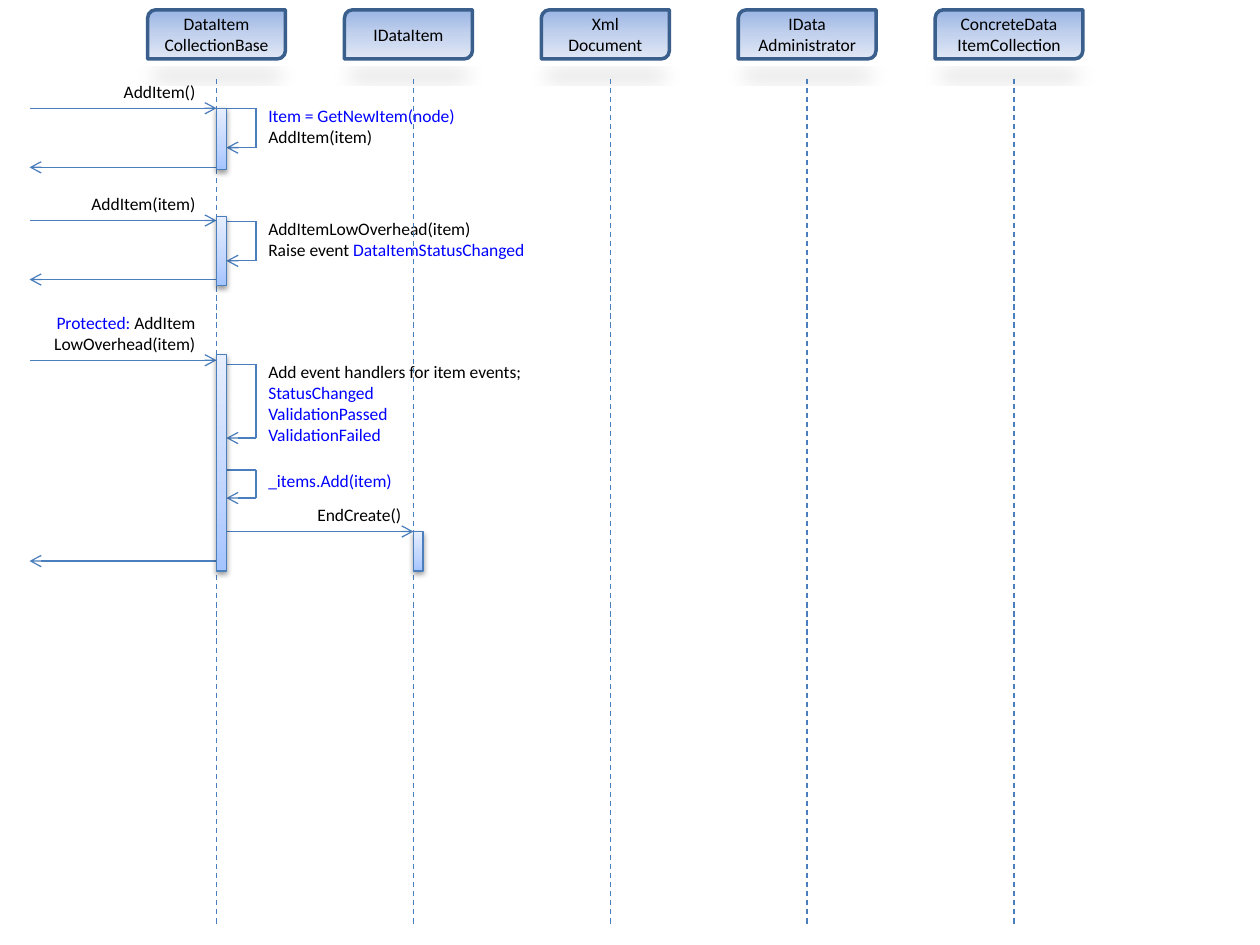
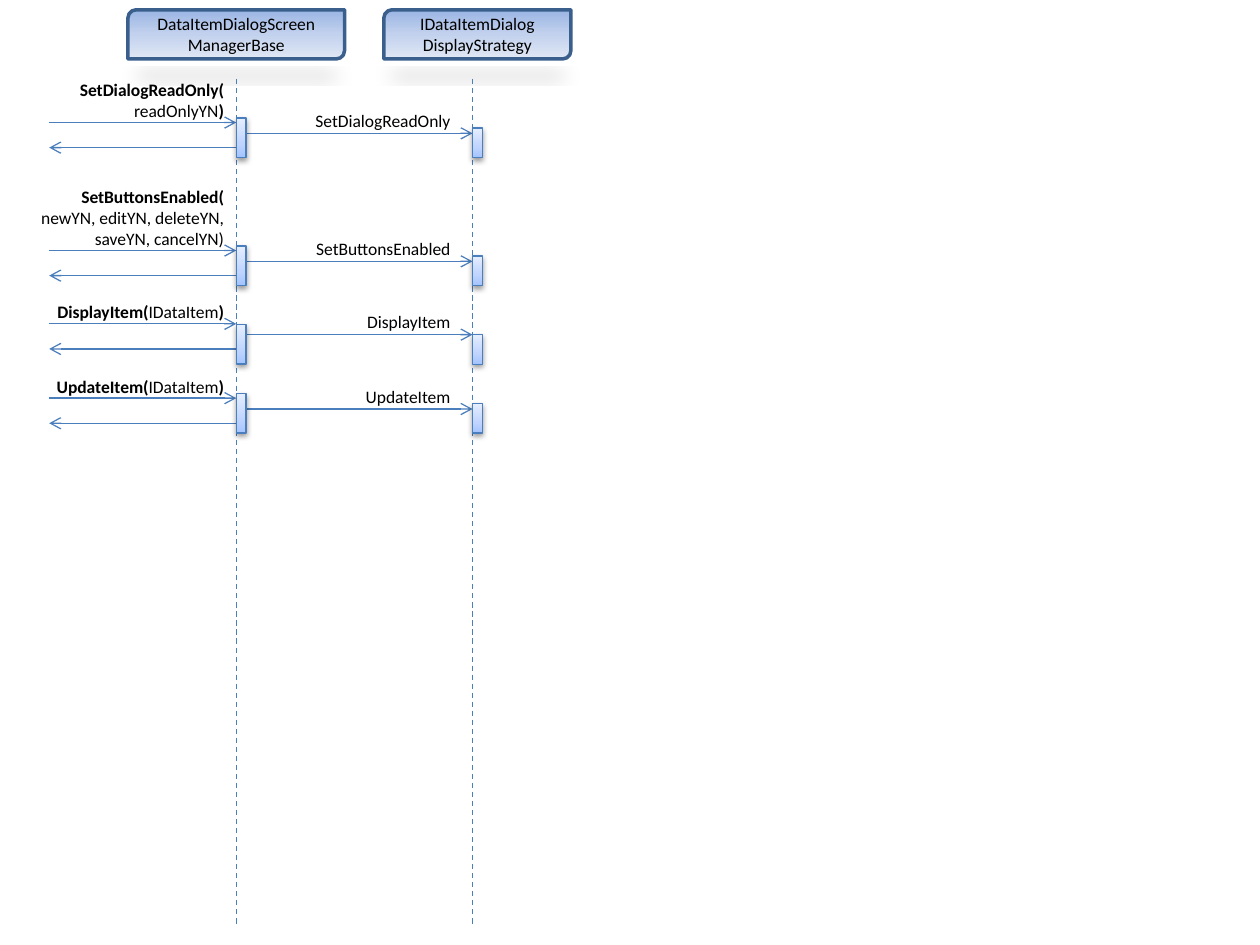
from dataclasses import dataclass
from typing import NamedTuple

from lxml import etree
from pptx import Presentation
from pptx.dml.color import RGBColor
from pptx.enum.dml import MSO_LINE
from pptx.enum.shapes import MSO_CONNECTOR, MSO_SHAPE
from pptx.enum.text import MSO_ANCHOR, MSO_AUTO_SIZE, PP_ALIGN
from pptx.oxml.ns import qn
from pptx.util import Inches, Pt

STRAIGHT = MSO_CONNECTOR.STRAIGHT
HEADER_SHAPE, BAR_SHAPE = MSO_SHAPE.ROUND_2_DIAG_RECTANGLE, MSO_SHAPE.RECTANGLE
LEFT, CENTER, RIGHT = PP_ALIGN.LEFT, PP_ALIGN.CENTER, PP_ALIGN.RIGHT
MIDDLE, GROW, DASH = MSO_ANCHOR.MIDDLE, MSO_AUTO_SIZE.SHAPE_TO_FIT_TEXT, MSO_LINE.DASH

# The page is a grid of 128 columns by 96 rows of square cells
WIDTH, HEIGHT, COLUMNS = 10, 7.5, 128
CELL = WIDTH / COLUMNS
HEADER_TOP, HEADER_ROWS = 1, 5
LIFELINE_TOP, LIFELINE_BOTTOM = 8, 94
BAR_COLUMNS, LOOP_COLUMNS = 1, 3

FONT, SIZE = "Calibri", 10
BLACK, BLUE, LINE, HEADER_LINE = "000000", "0000FF", "4B7EBC", "3A5F8C"


class Span(NamedTuple):
    text: str
    color: str = BLACK
    bold: bool = False


Lines = list[list[Span]]


class Bar(NamedTuple):
    top: float
    rows: float


class Surface(NamedTuple):
    stops: dict[int, str]
    angle: int
    line: str
    line_width: float
    shadow: dict[str, int]
    shadow_alpha: int


@dataclass
class Participant:
    name: list[str]
    left: float
    columns: float
    lifeline: float
    bars: list[Bar]


@dataclass
class Call:
    """A call entering a lifeline, with its caption above and its return below."""
    row: float
    back: float
    lines: Lines
    caption_left: float


@dataclass
class Loop:
    top: float
    bottom: float
    caption_top: float
    caption_columns: float
    lines: Lines


@dataclass
class Exchange:
    """A call on the screen manager that is passed on to its strategy."""
    row: float
    bar_top: float
    passed_on: str
    lines: Lines


HEADER = Surface({0: "9AB5E4", 50: "C2D1ED", 100: "E1E8F5"}, 90, HEADER_LINE, 2,
                 {"blurRad": Pt(12), "dist": Pt(7), "dir": 5400000,
                  "sx": 90000, "sy": -19000, "rotWithShape": 0}, 15)
ACTIVATION = Surface({0: "A4C4FF", 35: "BFD4FF", 100: "E6EEFF"}, 270, LINE, 0.75,
                     {"blurRad": Pt(3.1), "dist": Pt(1.6), "dir": 5400000,
                      "rotWithShape": 0}, 38)


def rgb(color: str) -> RGBColor:
    return RGBColor.from_string(color)


def cells(*counts: float) -> list[int]:
    return [Inches(count * CELL) for count in counts]


def plain(*texts: str, color: str = BLACK) -> Lines:
    return [[Span(text, color)] for text in texts]


def caption_rows(lines: Lines) -> float:
    return (0.1 + len(lines) / 6) / CELL


def write(frame, lines: Lines, align) -> None:
    frame.word_wrap = True
    for index, spans in enumerate(lines):
        para = frame.add_paragraph() if index else frame.paragraphs[0]
        para.alignment = align
        first = spans[0]
        para.font.name, para.font.size = FONT, Pt(SIZE)
        para.font.bold, para.font.color.rgb = first.bold, rgb(first.color)
        for span in spans:
            run = para.add_run()
            run.text = span.text
            if span.color != first.color:
                run.font.color.rgb = rgb(span.color)
            if span.bold != first.bold:
                run.font.bold = span.bold


def add_color(parent, color: str):
    return etree.SubElement(parent, qn("a:srgbClr"), val=color)


def paint(shape, surface: Surface) -> None:
    # Gradient
    properties = shape.element.spPr
    gradient = etree.Element(qn("a:gradFill"), rotWithShape="1")
    stops = etree.SubElement(gradient, qn("a:gsLst"))
    for share, color in surface.stops.items():
        add_color(etree.SubElement(stops, qn("a:gs"), pos=str(share * 1000)), color)
    etree.SubElement(gradient, qn("a:lin"), ang=str(surface.angle * 60000), scaled="0")
    properties.find(qn("a:prstGeom")).addnext(gradient)
    # Outline
    shape.line.color.rgb = rgb(surface.line)
    shape.line.width = Pt(surface.line_width)
    # Shadow
    shape.shadow.inherit = False
    shadow = etree.SubElement(properties.find(qn("a:effectLst")), qn("a:outerShdw"),
                              {key: str(value) for key, value in surface.shadow.items()})
    etree.SubElement(add_color(shadow, BLACK), qn("a:alpha"),
                     val=str(surface.shadow_alpha * 1000))


def add_block(page, kind, surface: Surface, left: float, top: float,
              columns: float, rows: float):
    block = page.shapes.add_shape(kind, *cells(left, top, columns, rows))
    paint(block, surface)
    return block


def add_line(page, x1: float, y1: float, x2: float, y2: float,
             arrow: bool = False, dashed: bool = False) -> None:
    connector = page.shapes.add_connector(STRAIGHT, *cells(x1, y1, x2, y2))
    connector.line.color.rgb = rgb(LINE)
    connector.line.width = Pt(0.75)
    if dashed:
        connector.line.dash_style = DASH
    if arrow:
        etree.SubElement(connector.line._get_or_add_ln(), qn("a:tailEnd"), type="arrow")
    etree.SubElement(connector.element.spPr, qn("a:effectLst"))


def add_caption(page, lines: Lines, left: float, top: float, columns: float,
                align=RIGHT) -> None:
    box = page.shapes.add_textbox(*cells(left, top, columns, caption_rows(lines)))
    write(box.text_frame, lines, align)
    box.text_frame.auto_size = GROW


def add_participant(page, item: Participant) -> None:
    header = add_block(page, HEADER_SHAPE, HEADER, item.left, HEADER_TOP,
                       item.columns, HEADER_ROWS)
    header.text_frame.vertical_anchor = MIDDLE
    write(header.text_frame, plain(*item.name), CENTER)
    add_line(page, item.lifeline, LIFELINE_TOP, item.lifeline, LIFELINE_BOTTOM, dashed=True)
    for bar in item.bars:
        add_block(page, BAR_SHAPE, ACTIVATION, item.lifeline, bar.top, BAR_COLUMNS, bar.rows)


def add_call(page, call: Call, start: float, lifeline: float,
             caption_right: float, caption_bottom: float) -> None:
    add_line(page, start, call.row, lifeline, call.row, arrow=True)
    add_caption(page, call.lines, call.caption_left,
                caption_bottom - caption_rows(call.lines), caption_right - call.caption_left)
    add_line(page, lifeline, call.back, start, call.back, arrow=True)


def add_loop(page, loop: Loop, lifeline: float) -> None:
    near = lifeline + BAR_COLUMNS
    far = near + LOOP_COLUMNS
    add_line(page, far, loop.top, near, loop.top)
    add_line(page, far, loop.top, far, loop.bottom)
    add_line(page, far, loop.bottom, near, loop.bottom, arrow=True)
    add_caption(page, loop.lines, far, loop.caption_top, loop.caption_columns, LEFT)


# Adding items to a collection
COLLECTION, ITEM = 22, 42
COLLECTION_PARTICIPANTS = [
    Participant(["Xml", "Document"], 55, 13, 62, []),
    Participant(["IData", "Administrator"], 75, 14, 82, []),
    Participant(["ConcreteData", "ItemCollection"], 95, 15, 103, []),
    Participant(["DataItem", "CollectionBase"], 15, 14, COLLECTION,
                [Bar(11, 6.25), Bar(22, 7), Bar(36, 22)]),
    Participant(["IDataItem"], 35, 13, ITEM, [Bar(54, 4)]),
]
COLLECTION_CALLS = [
    Call(11, 17, plain("AddItem()"), 1),
    Call(22.4, 28.4, plain("AddItem(item)"), -2),
    Call(36.6, 57, [[Span("Protected: ", BLUE), Span("AddItem")],
                    [Span("LowOverhead(item)")]], -2),
]
COLLECTION_LOOPS = [
    Loop(11, 15, 10, 24, plain("Item = GetNewItem(node)", color=BLUE) + plain("AddItem(item)")),
    Loop(22.5, 26.5, 21.5, 31, [[Span("AddItemLowOverhead(item)")],
                                [Span("Raise event "), Span("DataItemStatusChanged", BLUE)]]),
    Loop(37, 44.5, 36, 31, plain("Add event handlers for item events;")
         + plain("StatusChanged", "ValidationPassed", "ValidationFailed", color=BLUE)),
    Loop(47.75, 50.6, 47.1, 31, plain("_items.Add(item)", color=BLUE)),
]

# Passing dialog calls on to the display strategy
MANAGER, STRATEGY = 24, 48
EXCHANGES = [
    Exchange(12.45, 12, "SetDialogReadOnly",
             [[Span("SetDialogReadOnly(", bold=True)],
              [Span("readOnlyYN"), Span(")", bold=True)]]),
    Exchange(25.45, 25, "SetButtonsEnabled",
             [[Span("SetButtonsEnabled(", bold=True)],
              *plain("newYN, editYN, deleteYN,", "saveYN, cancelYN)")]),
    *(Exchange(row, top, name, [[Span(name + "(", bold=True), Span("IDataItem"),
                                 Span(")", bold=True)]])
      for row, top, name in [(32.9, 33, "DisplayItem"), (40.45, 40, "UpdateItem")]),
]
DIALOG_PARTICIPANTS = [
    Participant(["IDataItemDialog", "DisplayStrategy"], 39, 19, STRATEGY,
                [Bar(exchange.bar_top + 1, 3) for exchange in EXCHANGES]),
    Participant(["DataItemDialogScreen", "ManagerBase"], 13, 22, MANAGER,
                [Bar(exchange.bar_top, 4) for exchange in EXCHANGES]),
]


def build_collection(page) -> None:
    for loop in COLLECTION_LOOPS:
        add_loop(page, loop, COLLECTION)
    for call in COLLECTION_CALLS:
        add_call(page, call, 3, COLLECTION, 21.1, call.row)
    end_create = plain("EndCreate()")
    add_line(page, COLLECTION + BAR_COLUMNS, 54, ITEM, 54, arrow=True)
    add_caption(page, end_create, 20.9, 54 - caption_rows(end_create), 21.1)
    for participant in COLLECTION_PARTICIPANTS:
        add_participant(page, participant)


def build_dialog(page) -> None:
    for exchange in EXCHANGES:
        call = Call(exchange.row, exchange.row + 2.55, exchange.lines, 0)
        add_call(page, call, 5, MANAGER, MANAGER, call.row + 0.5)
        passed_row = exchange.row + 1.1
        add_line(page, MANAGER + BAR_COLUMNS, passed_row, STRATEGY, passed_row, arrow=True)
        add_caption(page, plain(exchange.passed_on), 27, passed_row - 3, 20)
    for participant in DIALOG_PARTICIPANTS:
        add_participant(page, participant)


def main() -> None:
    deck = Presentation()
    deck.slide_width, deck.slide_height = Inches(WIDTH), Inches(HEIGHT)
    for build in (build_collection, build_dialog):
        build(deck.slides.add_slide(deck.slide_layouts[6]))
    deck.save("out.pptx")


if __name__ == "__main__":
    main()
